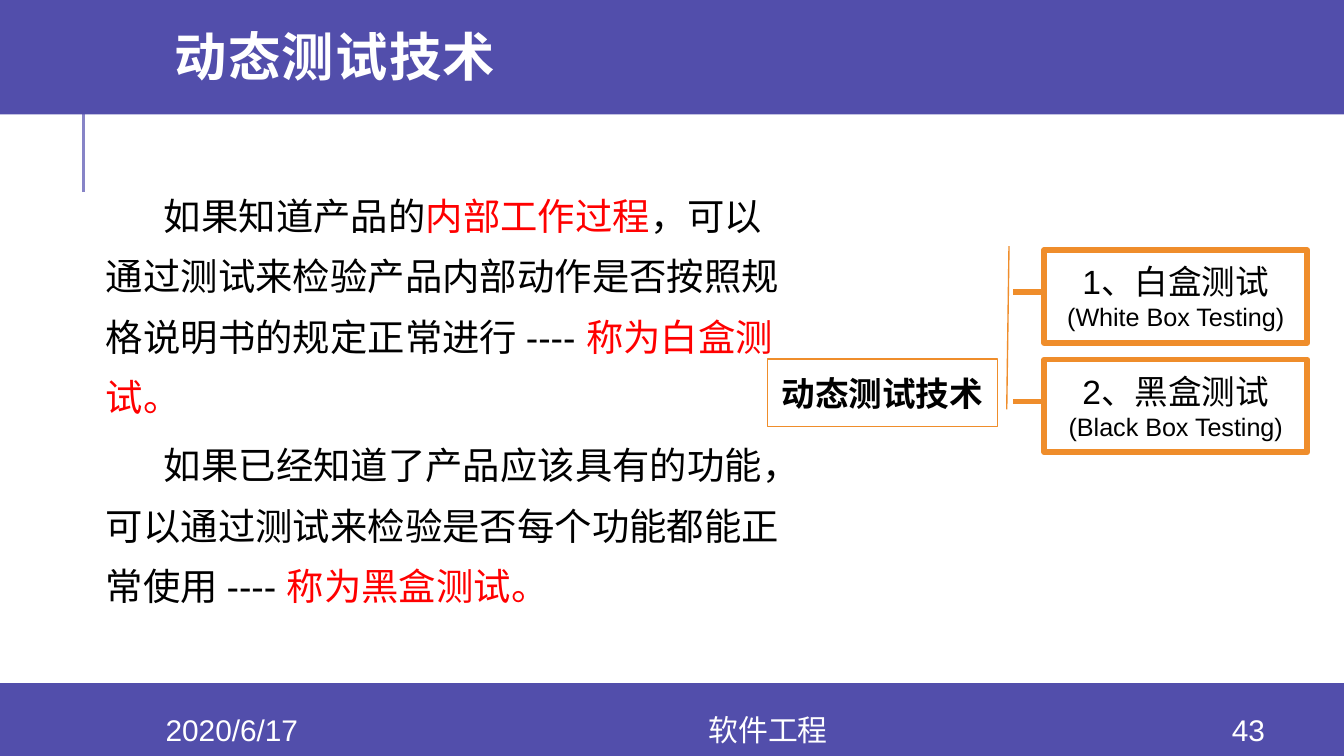
from lxml.etree import SubElement
from pptx import Presentation
from pptx.dml.color import RGBColor
from pptx.enum.shapes import MSO_CONNECTOR as CONN, MSO_SHAPE as SHAPE
from pptx.enum.text import MSO_ANCHOR as ANCHOR, PP_ALIGN as ALIGN
from pptx.oxml.ns import qn
from pptx.util import Pt

PURPLE = RGBColor(0x52, 0x4E, 0xAB)
LILAC = RGBColor(0x87, 0x84, 0xC7)
ORANGE = RGBColor(0xEF, 0x8D, 0x2B)
RED = RGBColor(0xFF, 0, 0)
BLACK = RGBColor(0, 0, 0)
WHITE = RGBColor(0xFF, 0xFF, 0xFF)


class SlideBuilder:
    def __init__(self, slide, font="Arial"):
        self.s = slide
        self.font = font

    def line(self, x1, y1, x2, y2, color, width):
        c = self.s.shapes.add_connector(CONN.STRAIGHT, Pt(x1), Pt(y1), Pt(x2), Pt(y2))
        c.line.color.rgb = color
        c.line.width = Pt(width)
        SubElement(c._element.spPr, qn("a:effectLst"))

    def shape(self, kind, box, fill=None, line=None, width=1):
        sp = self.s.shapes.add_shape(kind, *map(Pt, box))
        sp.shadow.inherit = False
        if fill is None:
            sp.fill.background()
        else:
            sp.fill.solid()
            sp.fill.fore_color.rgb = fill
        if line is None:
            sp.line.fill.background()
        else:
            sp.line.color.rgb = line
            sp.line.width = Pt(width)
        return sp

    def frame(self, sp, wrap=True, anchor=ANCHOR.MIDDLE):
        tf = sp.text_frame
        tf.word_wrap = wrap
        tf.vertical_anchor = anchor
        return tf

    def textbox(self, box, **style):
        return self.frame(self.s.shapes.add_textbox(*map(Pt, box)), **style)

    def paragraph(self, tf, runs, first=True, indent=0, **fmt):
        p = tf.paragraphs[0] if first else tf.add_paragraph()
        for name, value in fmt.items():
            setattr(p, name, value)
        if indent:
            p._p.get_or_add_pPr().set("indent", str(Pt(indent)))
        for text, style in runs:
            self.run(p, text, **style)

    def run(self, p, text, color=BLACK, spacing=0, **fmt):
        r = p.add_run()
        r.text = text
        for name, value in ({"name": self.font} | fmt).items():
            setattr(r.font, name, value)
        r.font.color.rgb = color
        if spacing:
            r.font._element.set("spc", str(spacing))


def build():
    prs = Presentation()
    prs.slide_width, prs.slide_height = Pt(720), Pt(405)
    b = SlideBuilder(prs.slides.add_slide(prs.slide_layouts[6]))

    b.line(44.8, 103, 44.8, 49, LILAC, 1.5)
    b.shape(SHAPE.RECTANGLE, (0, 366, 720, 39), PURPLE)
    b.shape(SHAPE.RECTANGLE, (0, -2, 720, 63.3), PURPLE)

    title = {"name": "Montserrat", "size": Pt(28), "bold": True, "color": WHITE, "spacing": 80}
    b.paragraph(b.textbox((86.4, 0, 611, 65.5)), [("动态测试技术", title)], line_spacing=0.8)

    footer = {"size": Pt(16), "color": WHITE}
    for x, w, text in ((60.5, 127.5, "2020/6/17"), (188, 447, "软件工程"), (640, 57.6, "43")):
        b.paragraph(b.textbox((x, 382.4, w, 16.6)), [(text, footer)], alignment=ALIGN.CENTER)

    callout = b.shape(SHAPE.LINE_CALLOUT_1, (411, 192.4, 123.4, 36), line=ORANGE, width=0.75)
    for i, value in enumerate((0.75, 1.04, -1.68, 1.05)):
        callout.adjustments[i] = value
    heading = {"size": Pt(18), "bold": True}
    b.paragraph(b.frame(callout, wrap=False), [("动态测试技术", heading)], alignment=ALIGN.CENTER)

    methods = (("1、白盒测试", "(White Box Testing)"), ("2、黑盒测试", "(Black Box Testing)"))
    for i, names in enumerate(methods):
        y = 134 + 58.6 * i
        sp = b.shape(SHAPE.RECTANGLE, (559.4, y, 141, 49.7), line=ORANGE, width=3)
        tf = b.frame(sp, wrap=False)
        for j, (text, size) in enumerate(zip(names, (18, 13.5))):
            b.paragraph(tf, [(text, {"size": Pt(size)})], first=j == 0, alignment=ALIGN.CENTER)
        b.line(542.8, y + 22.5, 559.4, y + 22.5, ORANGE, 3)

    plain = {"size": Pt(20)}
    marked = plain | {"color": RED}
    body = (
        [("如果知道产品的", plain), ("内部工作过程", marked),
         ("，可以通过测试来检验产品内部动作是否按照规格说明书的规定正常进行 ---- ", plain),
         ("称为白盒测试。", marked)],
        [("如果已经知道了产品应该具有的功能，可以通过测试来检验是否每个功能都能正常使用 ---- ", plain),
         ("称为黑盒测试。", marked)],
    )
    tf = b.textbox((49.7, 91.4, 375.8, 246), anchor=ANCHOR.TOP)
    for i, runs in enumerate(body):
        b.paragraph(tf, runs, first=i == 0, indent=31, line_spacing=1.35, space_before=Pt(4 * i))

    prs.save("out.pptx")


if __name__ == "__main__":
    build()
